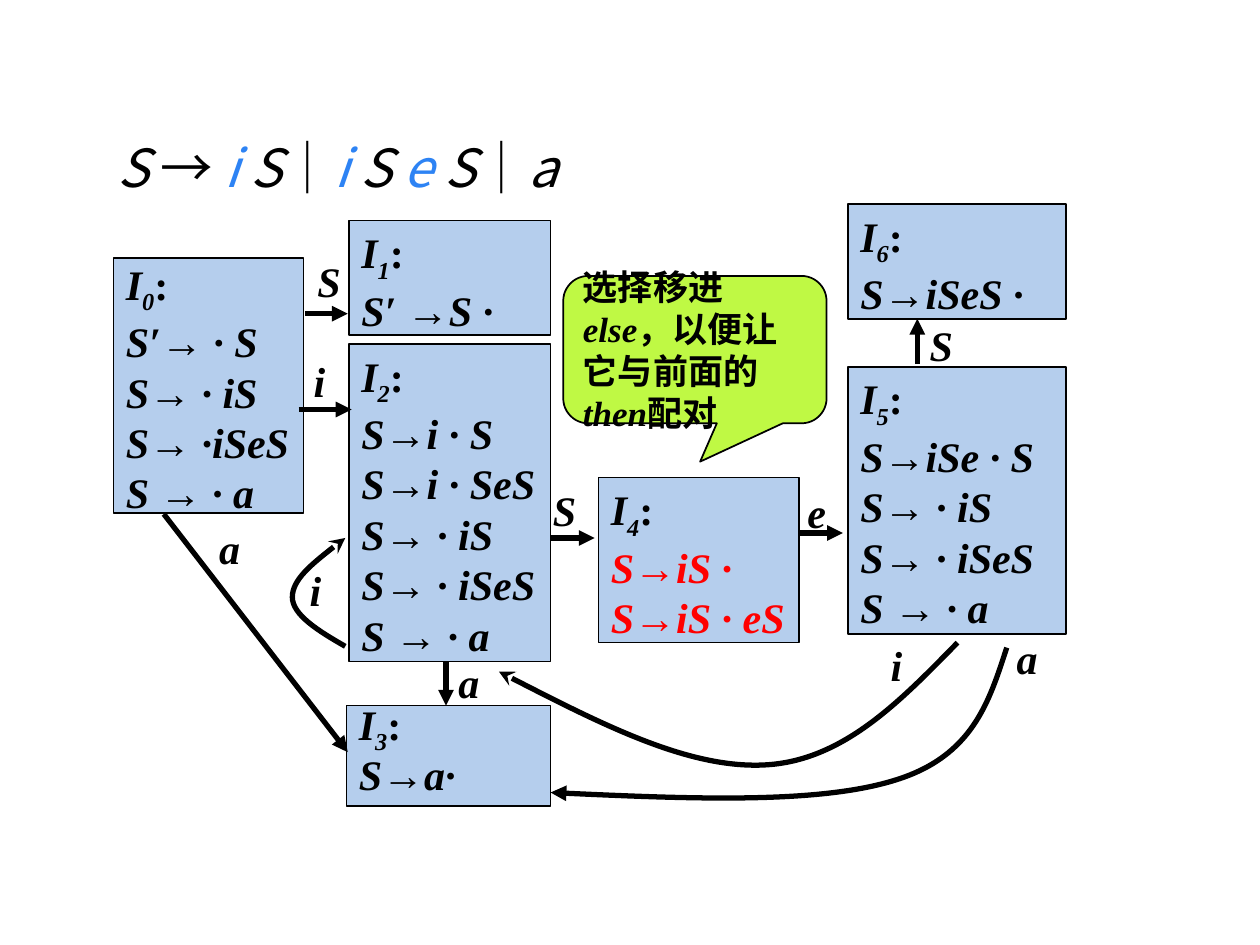
from dataclasses import dataclass
from pptx import Presentation
from pptx.dml.color import RGBColor
from pptx.enum.shapes import MSO_CONNECTOR, MSO_SHAPE
from pptx.enum.text import MSO_ANCHOR, MSO_AUTO_SIZE, PP_ALIGN
from pptx.oxml import parse_xml
from pptx.oxml.ns import nsdecls, qn
from pptx.util import Inches, Pt

COLUMNS, ROWS = 100, 75
SLIDE_WIDTH, SLIDE_HEIGHT = Inches(10), Inches(7.5)


@dataclass(frozen=True)
class Theme:
    """Colours, fonts and point sizes of the slide."""
    ink: RGBColor = RGBColor(0, 0, 0)
    terminal: RGBColor = RGBColor(0x2D, 0x83, 0xF4)
    conflict: RGBColor = RGBColor(0xFF, 0, 0)
    state: RGBColor = RGBColor(0xB5, 0xCE, 0xED)
    note: RGBColor = RGBColor(0xBF, 0xF9, 0x44)
    title_font: str = "Noto Sans CJK SC"
    body_font: str = "Times New Roman"
    title_size: Pt = Pt(30)
    body_size: Pt = Pt(24)
    note_size: Pt = Pt(20)
    outline: Pt = Pt(1)
    arrow: Pt = Pt(3)


THEME = Theme()


def place(column, row):
    """Turn a grid position or extent into slide lengths."""
    return round(column * SLIDE_WIDTH / COLUMNS), round(row * SLIDE_HEIGHT / ROWS)


def style(paragraph, size, italic=True, color=THEME.ink):
    """Set the bold body font of a paragraph."""
    font = paragraph.font
    font.name, font.size, font.bold, font.italic = THEME.body_font, size, True, italic
    font.color.rgb = color
    paragraph.alignment = PP_ALIGN.LEFT


def add_run(paragraph, text, **settings):
    """Append a run and set any font attributes that differ."""
    run = paragraph.add_run()
    run.text = text
    for name, value in settings.items():
        setattr(run.font, name, value)
    return run


def add_box(slide, kind, box, fill):
    """Add a filled, outlined shape with left-aligned wrapping text."""
    shape = slide.shapes.add_shape(kind, *place(*box[:2]), *place(*box[2:]))
    shape.shadow.inherit = False
    shape.fill.solid()
    shape.fill.fore_color.rgb = fill
    shape.line.color.rgb, shape.line.width = THEME.ink, THEME.outline
    shape.text_frame.word_wrap = True
    shape.text_frame.vertical_anchor = MSO_ANCHOR.TOP
    return shape


def add_state(slide, number, box, items, color=THEME.ink, spacing=None, margin=Inches(0.05)):
    """Add an automaton state: its numbered heading and its items."""
    frame = add_box(slide, MSO_SHAPE.RECTANGLE, box, THEME.state).text_frame
    frame.margin_top = frame.margin_bottom = margin
    heading = frame.paragraphs[0]
    style(heading, THEME.body_size)
    add_run(heading, "I")
    add_run(heading, str(number))._r.get_or_add_rPr().set("baseline", "-25000")
    add_run(heading, ":", italic=False)
    for item in items:
        paragraph = frame.add_paragraph()
        style(paragraph, THEME.body_size, color=color)
        add_run(paragraph, item)
    if spacing:
        for paragraph in frame.paragraphs:
            paragraph.line_spacing = spacing


def add_label(slide, text, column, row):
    """Add the symbol that names a transition."""
    label = slide.shapes.add_textbox(*place(column, row), *place(5, 5))
    label.text_frame.word_wrap = True
    paragraph = label.text_frame.paragraphs[0]
    style(paragraph, THEME.body_size)
    add_run(paragraph, text)


def finish_arrow(shape, head):
    """Give a line its colour, width and arrowhead, without a shadow."""
    shape.line.color.rgb, shape.line.width = THEME.ink, THEME.arrow
    shape.line._get_or_add_ln().append(
        parse_xml(f'<a:tailEnd {nsdecls("a")} type="{head}"/>'))


def add_arrow(slide, start, end):
    """Add a straight transition."""
    arrow = slide.shapes.add_connector(
        MSO_CONNECTOR.STRAIGHT, *place(*start), *place(*end))
    finish_arrow(arrow, "triangle")
    arrow._element.spPr.append(parse_xml(f'<a:effectLst {nsdecls("a")}/>'))


def add_curve(slide, head, *points):
    """Add a curved transition: a start, then three points per Bezier piece."""
    lengths = [place(*point) for point in points]
    builder = slide.shapes.build_freeform(*lengths[0])
    builder.add_line_segments(lengths[1:], close=False)
    curve = builder.convert_to_shape()
    curve.shadow.inherit = False
    curve.fill.background()
    finish_arrow(curve, head)
    outline = next(curve._element.iter(qn("a:path")))
    segments = outline.findall(qn("a:lnTo"))
    for first in range(0, len(segments), 3):
        bezier = parse_xml(f'<a:cubicBezTo {nsdecls("a")}/>')
        for segment in segments[first:first + 3]:
            bezier.append(segment[0])
            outline.remove(segment)
        outline.append(bezier)


def add_grammar(slide):
    """Write the grammar in the title, with its terminals in colour."""
    title = slide.shapes.title
    title.left, title.top = place(8.3, 12.3)
    title.width, title.height = place(86.7, 3.9)
    frame = title.text_frame
    frame.auto_size, frame.vertical_anchor = MSO_AUTO_SIZE.NONE, MSO_ANCHOR.BOTTOM
    paragraph = frame.paragraphs[0]
    paragraph.alignment = PP_ALIGN.LEFT
    font = paragraph.font
    font.name, font.size = THEME.title_font, THEME.title_size
    for text in ("S ", "→ ", "i ", "S", "│", "i ", "S ", "e ", "S", "│", "a"):
        symbol = text.strip()
        run = add_run(paragraph, text, italic=symbol not in "→│")
        run.font.color.rgb = THEME.terminal if symbol in "ie" else THEME.ink
        run._r.get_or_add_rPr().append(parse_xml(
            f'<a:ea {nsdecls("a")} typeface="{THEME.title_font}"/>'))


def add_note(slide):
    """Add the callout that explains how the conflict is resolved."""
    note = add_box(slide, MSO_SHAPE.ROUNDED_RECTANGULAR_CALLOUT,
                   (44.7, 21.9, 20.9, 11.7), THEME.note)
    for index, value in enumerate((0.02, 0.76, 0.17)):
        note.adjustments[index] = value
    note.text_frame.vertical_anchor = MSO_ANCHOR.MIDDLE
    paragraph = note.text_frame.paragraphs[0]
    style(paragraph, THEME.note_size, italic=False)
    for text in ("选择移进", "else", "，以便让它与前面的", "then", "配对"):
        add_run(paragraph, text, italic=text.isascii())


def main():
    """Build the slide and save it."""
    presentation = Presentation()
    presentation.slide_width, presentation.slide_height = SLIDE_WIDTH, SLIDE_HEIGHT
    slide = presentation.slides.add_slide(presentation.slide_layouts[5])
    add_grammar(slide)

    closure = ["S→ · iS", "S→ · iSeS", "S → · a"]
    add_state(slide, 0, (9, 20.5, 15.1, 20.2),
              ["S′→ · S", "S→ · iS", "S→ ·iSeS", "S → · a"], margin=0)
    add_state(slide, 1, (27.7, 17.5, 16, 9.1), ["S′ →S ·"])
    add_state(slide, 2, (27.7, 27.3, 16, 25.2), ["S→i · S", "S→i · SeS"] + closure)
    add_state(slide, 3, (27.5, 56, 16.2, 8), ["S→a·"], spacing=Pt(25))
    add_state(slide, 4, (47.5, 37.9, 15.9, 13.1), ["S→iS ·", "S→iS · eS"], THEME.conflict)
    add_state(slide, 5, (67.3, 29.1, 17.3, 21.2), ["S→iSe · S"] + closure)
    add_state(slide, 6, (67.3, 16.2, 17.3, 9.1), ["S→iSeS ·"])
    add_note(slide)

    for start, end in (
            ((24.2, 24.9), (27.6, 24.9)), ((23.7, 32.5), (27.9, 32.5)),
            ((72.8, 28.9), (72.8, 25.3)), ((35.4, 52.5), (35.4, 56)),
            ((13, 40.8), (27.6, 59.7)), ((43.7, 42.7), (47.2, 42.7)),
            ((63.4, 42.3), (66.9, 42.3))):
        add_arrow(slide, start, end)
    add_curve(slide, "stealth", (27.4, 51.3), (25.3, 50.1), (23.2, 48.8), (23.2, 47.4),
              (23.2, 46), (25.3, 44.3), (27.4, 42.7))
    add_curve(slide, "stealth", (76, 51), (71.5, 55.6), (67, 60.3), (60.9, 60.7),
              (54.8, 61.1), (47.2, 57.2), (39.6, 53.3))
    add_curve(slide, "triangle", (79.9, 51.4), (78.5, 55.7), (77.2, 60), (71.1, 61.9),
              (65.1, 63.8), (54.4, 63.4), (43.7, 62.9))

    for text, column, row in (
            ("S", 24.2, 19.8), ("S", 42.9, 38), ("S", 72.8, 24.9), ("i", 23.9, 27.7),
            ("i", 23.6, 44.3), ("i", 69.7, 50.3), ("e", 63.1, 38.1),
            ("a", 35.4, 51.6), ("a", 16.4, 41), ("a", 79.7, 49.7)):
        add_label(slide, text, column, row)
    presentation.save("out.pptx")


main()
